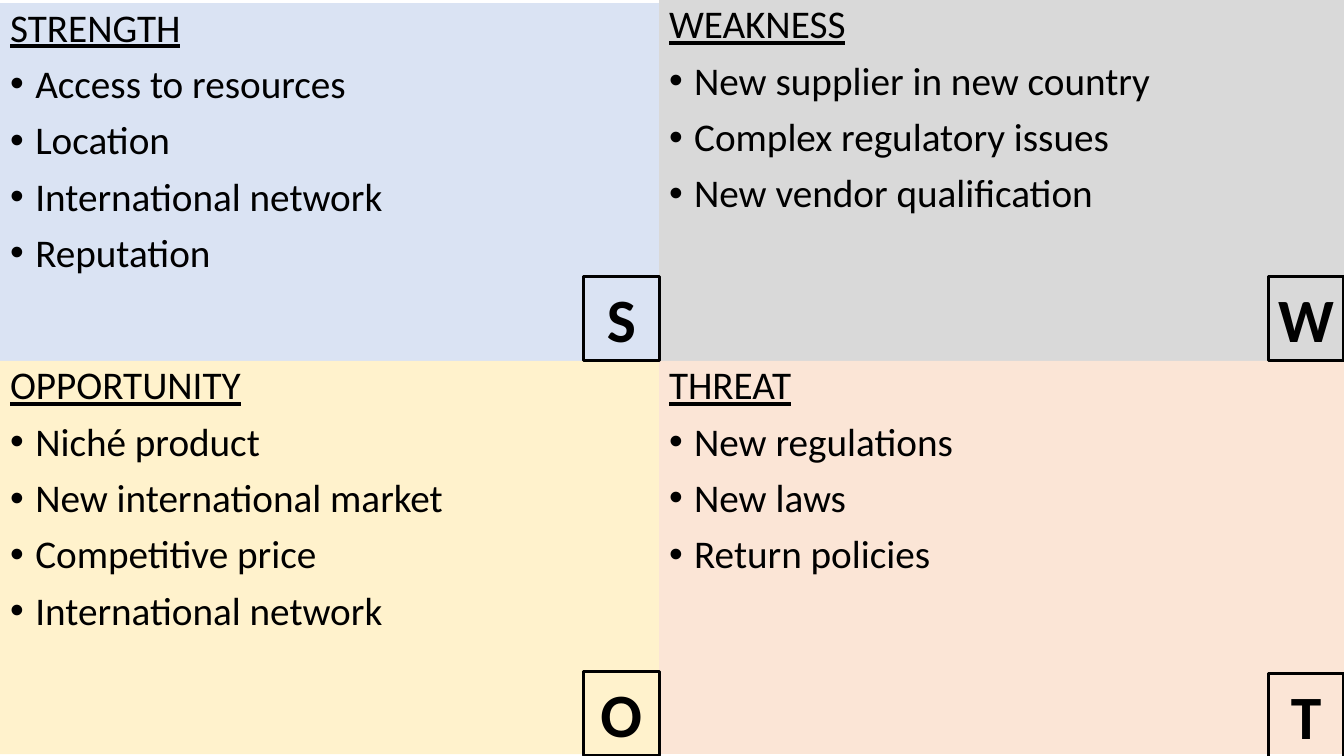
from lxml.etree import SubElement
from pptx import Presentation
from pptx.dml.color import RGBColor
from pptx.enum.shapes import MSO_SHAPE
from pptx.enum.text import MSO_ANCHOR, MSO_AUTO_SIZE, PP_ALIGN
from pptx.oxml.ns import qn
from pptx.util import Pt


def color(hex_string):
    return RGBColor.from_string(hex_string)


def write(para, text, size=28, bold=False, underline=False, align=PP_ALIGN.LEFT,
          bullet=None, indent=0, line_spacing=1.0, space_before=0):
    para.alignment = align
    para.line_spacing = line_spacing
    para.space_before = Pt(space_before)
    properties = para._p.get_or_add_pPr()
    properties.set("marL", str(Pt(indent)))
    properties.set("indent", str(-Pt(indent)))
    if bullet:
        SubElement(properties, qn("a:buFont"), typeface="Arial")
        SubElement(properties, qn("a:buChar"), char=bullet)
    else:
        SubElement(properties, qn("a:buNone"))
    span = para.add_run()
    span.text = text
    span.font.name = "Calibri"
    span.font.size = Pt(size)
    span.font.bold = bold
    span.font.underline = underline
    span.font.color.rgb = color("000000")


deck = Presentation()
deck.slide_width = Pt(960)
deck.slide_height = Pt(540)
page = deck.slides.add_slide(deck.slide_layouts[3])
title, strength_body, opportunity_body = page.placeholders
title._element.getparent().remove(title._element)

split_x, split_y, lower_height = 470.8, 257.8, 280.8
right_width = 960 - split_x
badge_width, badge_height = 54, 60.5

quadrants = [
    ("STRENGTH", strength_body, "DAE3F3", (0, 2.2, split_x, 255.6), 197.3,
     ["Access to resources", "Location", "International network", "Reputation"]),
    ("WEAKNESS", None, "D9D9D9", (split_x, 0, right_width, split_y), 197.3,
     ["New supplier in new country", "Complex regulatory issues",
      "New vendor qualification"]),
    ("OPPORTUNITY", opportunity_body, "FFF2CC",
     (0, split_y, split_x, lower_height), 479.5,
     ["Niché product", "New international market", "Competitive price",
      "International network"]),
    ("THREAT", None, "FBE5D6", (split_x, split_y, right_width, lower_height), 481,
     ["New regulations", "New laws", "Return policies"]),
]

for heading, body, fill, bounds, badge_top, items in quadrants:
    left, top, width, height = [Pt(value) for value in bounds]
    box = body or page.shapes.add_textbox(left, top, width, height)
    box.left, box.top, box.width, box.height = left, top, width, height
    box.fill.solid()
    box.fill.fore_color.rgb = color(fill)
    frame = box.text_frame
    frame.word_wrap = True
    frame.auto_size = MSO_AUTO_SIZE.NONE
    frame.vertical_anchor = MSO_ANCHOR.TOP
    write(frame.paragraphs[0], heading, underline=True, line_spacing=0.9)
    for item in items:
        write(frame.add_paragraph(), item, bullet="•", indent=18,
              line_spacing=0.9, space_before=10)

for heading, body, fill, bounds, badge_top, items in quadrants:
    badge_left = bounds[0] + bounds[2] - badge_width
    badge = page.shapes.add_shape(MSO_SHAPE.RECTANGLE, Pt(badge_left), Pt(badge_top),
                                  Pt(badge_width), Pt(badge_height))
    badge.shadow.inherit = False
    badge.fill.background()
    badge.line.color.rgb = color("000000")
    badge.line.width = Pt(2.25)
    badge.text_frame.word_wrap = heading != "WEAKNESS"
    badge.text_frame.vertical_anchor = MSO_ANCHOR.TOP
    write(badge.text_frame.paragraphs[0], heading[0], size=44, bold=True,
          align=PP_ALIGN.CENTER)

deck.save("out.pptx")
